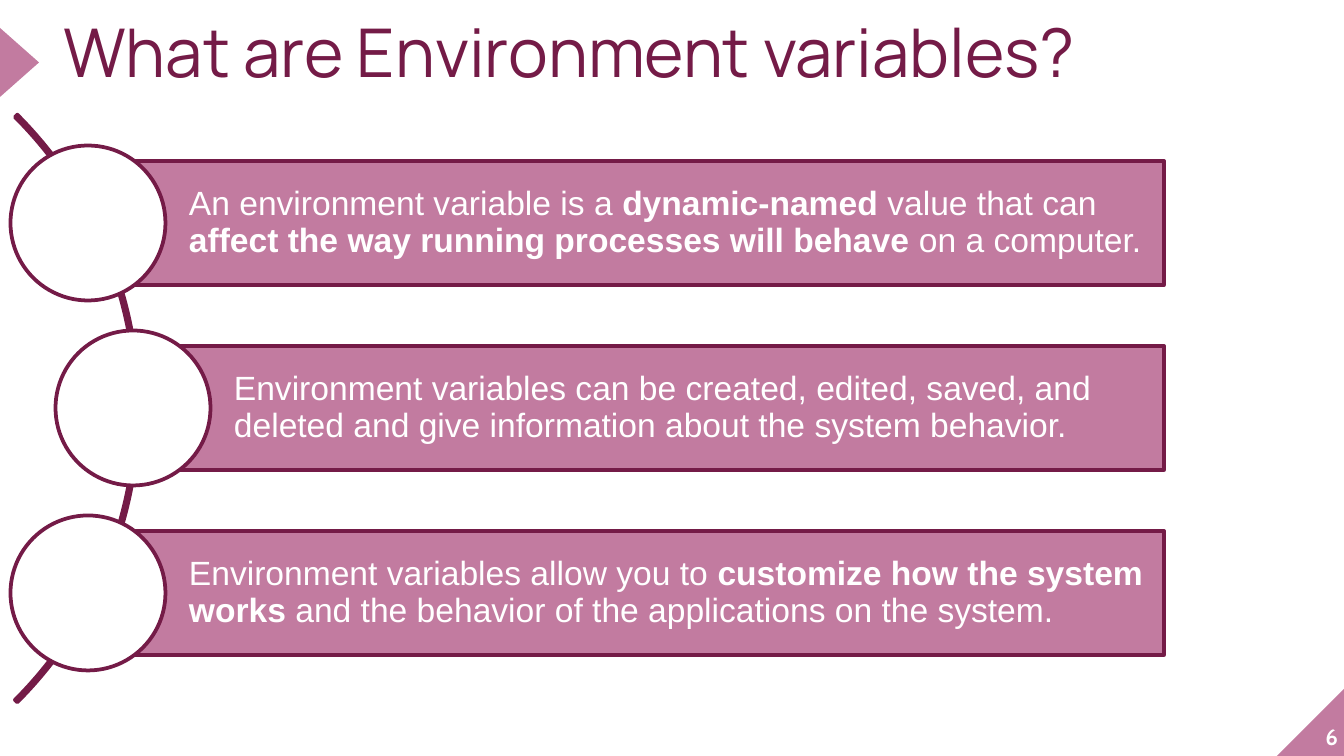
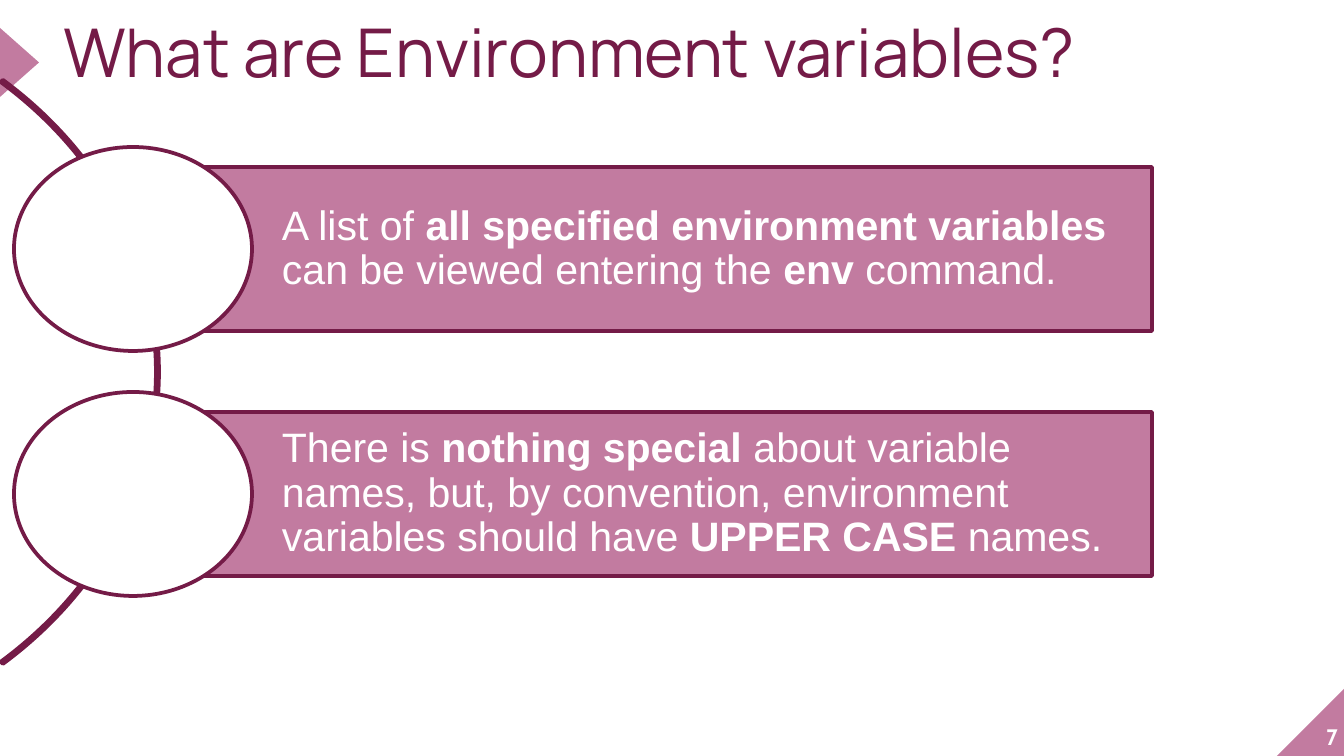
from pptx import Presentation
from pptx.dml.color import RGBColor
from pptx.enum.shapes import MSO_SHAPE
from pptx.enum.text import MSO_ANCHOR, MSO_AUTO_SIZE, PP_ALIGN
from pptx.util import Pt

RECTANGLE, OVAL, ARC = MSO_SHAPE.RECTANGLE, MSO_SHAPE.OVAL, MSO_SHAPE.BLOCK_ARC
CORNER, POINTER = MSO_SHAPE.RIGHT_TRIANGLE, MSO_SHAPE.ISOSCELES_TRIANGLE
TOP, MIDDLE, BOTTOM = MSO_ANCHOR.TOP, MSO_ANCHOR.MIDDLE, MSO_ANCHOR.BOTTOM
LEFT, RIGHT = PP_ALIGN.LEFT, PP_ALIGN.RIGHT
NO_FIT = MSO_AUTO_SIZE.NONE

PX = 914400 / 134.4
COLORS = {"plum": "741B47", "rose": "C27BA0", "white": "FFFFFF"}
TITLE = "What are Environment variables?"
TITLE_BOX = (63, 26, 1101, 92)
NUMBER_BOX = (1271, 681, 67, 69)
CORNER_BOX = (1277, 688, 68, 68)
POINTER_BOX = (-15, 43, 69, 39)
ARC_ADJUSTMENTS = (189, 27, 0.004)

FONTS = {
    "title": {"name": "Manrope", "size": Pt(36), "bold": False},
    "number": {"name": "Cabin", "size": Pt(12), "bold": True},
    "body": {"name": "Arial"},
}

SLIDES = [
    {
        "number": "6",
        "arc": (-692, -7, 831, 831),
        "bar": {"top": 161, "right": 1164, "height": 124, "pitch": 185},
        "circle": {"width": 155, "height": 155, "shift": -3},
        "size": 18,
        "insets": (98, 7),
        "items": [
            (91, [("An environment variable is a ", False),
                  ("dynamic-named ", True),
                  ("value that can ", False),
                  ("affect the way running processes will behave", True),
                  (" on a computer.", False)]),
            (136, [("Environment variables can be created, edited, saved, and "
                    "deleted and give information about the system behavior.", False)]),
            (91, [("Environment variables allow you to ", False),
                  ("customize how the system works", True),
                  (" and the behavior of the applications on the system.", False)]),
        ],
    },
    {
        "number": "7",
        "arc": (-737, -13, 896, 770),
        "bar": {"top": 167, "right": 1152, "height": 164, "pitch": 245},
        "circle": {"width": 238, "height": 204, "shift": 0},
        "size": 22,
        "insets": (149, 8),
        "items": [
            (133, [("A list of ", False),
                   ("all specified environment variables", True),
                   (" can be viewed entering the ", False),
                   ("env", True),
                   (" command.", False)]),
            (133, [("There is ", False),
                   ("nothing special", True),
                   (" about variable names, but, by convention, environment "
                    "variables should have ", False),
                   ("UPPER CASE", True),
                   (" names.", False)]),
        ],
    },
]


def emu(length):
    return round(length * PX)


def color(name):
    return RGBColor.from_string(COLORS[name])


def set_all(target, values):
    for name, value in values.items():
        setattr(target, name, value)


def add_shape(page, kind, box, fill=None, line=None):
    shape = page.shapes.add_shape(kind, *map(emu, box))
    shape.shadow.inherit = False
    if fill:
        shape.fill.solid()
        shape.fill.fore_color.rgb = color(fill)
    else:
        shape.fill.background()
    if line:
        shape.line.color.rgb = color(line)
        shape.line.width = Pt(2)
    else:
        shape.line.fill.background()
    return shape


def write(shape, spans, font, ink, anchor, align=LEFT, spacing=1.0, insets=(0, 0)):
    first, rest = map(emu, insets)
    frame = shape.text_frame
    set_all(frame, {
        "word_wrap": True, "auto_size": NO_FIT, "vertical_anchor": anchor,
        "margin_left": first, "margin_top": rest,
        "margin_right": rest, "margin_bottom": rest,
    })
    para = frame.paragraphs[0]
    set_all(para, {"alignment": align, "line_spacing": spacing})
    for text, bold in spans:
        span = para.add_run()
        span.text = text
        set_all(span.font, {"bold": bold, **font})
        span.font.color.rgb = color(ink)


def decorate_layout(layout, page):
    for holder in list(layout.placeholders):
        if holder.placeholder_format.idx >= 10:
            layout.shapes.element.remove(holder.element)
    corner = add_shape(page, CORNER, CORNER_BOX, "rose")
    corner.element.spPr.get_or_add_xfrm().set("flipH", "1")
    pointer = add_shape(page, POINTER, POINTER_BOX, "rose")
    pointer.rotation = 90
    for shape in (corner, pointer):
        layout.shapes.element.append(shape.element)


def add_frame(page, number):
    title = page.shapes.title
    title.left, title.top, title.width, title.height = map(emu, TITLE_BOX)
    write(title, [(TITLE, False)], FONTS["title"], "plum", TOP, spacing=0.8)
    box = page.shapes.add_textbox(*map(emu, NUMBER_BOX))
    write(box, [(number, True)], FONTS["number"], "white", BOTTOM, RIGHT)


def add_curved_list(page, content):
    arc = add_shape(page, ARC, content["arc"], line="plum")
    for index, value in enumerate(ARC_ADJUSTMENTS):
        arc.adjustments[index] = value
    bar, circle = content["bar"], content["circle"]
    font = {**FONTS["body"], "size": Pt(content["size"])}
    for index, (left, spans) in enumerate(content["items"]):
        top = bar["top"] + index * bar["pitch"]
        bar_box = (left, top, bar["right"] - left, bar["height"])
        panel = add_shape(page, RECTANGLE, bar_box, "rose", "plum")
        write(panel, spans, font, "white", MIDDLE, spacing=0.9, insets=content["insets"])
        width, height = circle["width"], circle["height"]
        circle_left = left + circle["shift"] - width / 2
        circle_top = top + (bar["height"] - height) / 2
        add_shape(page, OVAL, (circle_left, circle_top, width, height), "white", "plum")


def main():
    deck = Presentation()
    deck.slide_width, deck.slide_height = emu(1344), emu(756)
    layout = deck.slide_layouts.get_by_name("Title Only")
    for index, content in enumerate(SLIDES):
        page = deck.slides.add_slide(layout)
        if index == 0:
            decorate_layout(layout, page)
        add_frame(page, content["number"])
        add_curved_list(page, content)
    deck.save("out.pptx")


if __name__ == "__main__":
    main()
